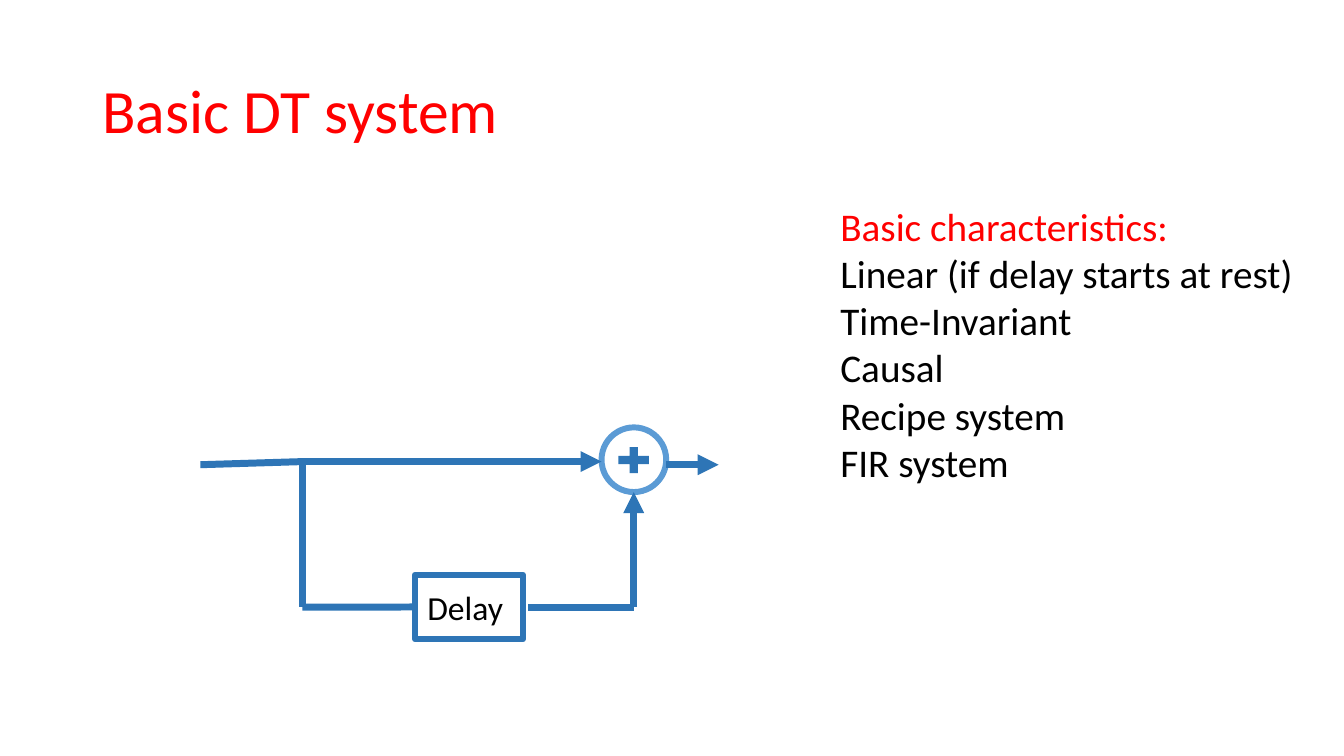
from lxml.etree import SubElement
from pptx import Presentation
from pptx.dml.color import RGBColor
from pptx.enum.shapes import MSO_CONNECTOR as Connector, MSO_SHAPE as Shape
from pptx.enum.text import MSO_ANCHOR as Anchor, PP_ALIGN as Align
from pptx.oxml.ns import qn
from pptx.util import Cm, Pt

COLORS = {
    "red": "FF0000",
    "black": "000000",
    "white": "FFFFFF",
    "blue": "2E75B6",
    "light_blue": "5B9BD5",
}


class SlideBuilder:
    font_name = "Calibri"
    wire_width = 5
    outline_width = 4.25

    def __init__(self, presentation):
        self.slide = presentation.slides.add_slide(presentation.slide_layouts[6])

    def color(self, name):
        return RGBColor.from_string(COLORS[name])

    def fill_text(self, shape, lines, size, frame_format, paragraph_format):
        frame = shape.text_frame
        for name, value in {"word_wrap": True, **frame_format}.items():
            setattr(frame, name, value)
        for index, (text, color) in enumerate(lines):
            paragraph = frame.add_paragraph() if index else frame.paragraphs[0]
            for name, value in paragraph_format.items():
                setattr(paragraph, name, value)
            run = paragraph.add_run()
            run.text = text
            for name, value in {"name": self.font_name, "size": Pt(size)}.items():
                setattr(run.font, name, value)
            run.font.color.rgb = self.color(color)

    def text(self, box, lines, size, frame_format={}, paragraph_format={}):
        shape = self.slide.shapes.add_textbox(*map(Cm, box))
        self.fill_text(shape, lines, size, frame_format, paragraph_format)

    def block(self, kind, box, fill=None, outline=None):
        shape = self.slide.shapes.add_shape(kind, *map(Cm, box))
        shape.shadow.inherit = False
        if fill:
            shape.fill.solid()
            shape.fill.fore_color.rgb = self.color(fill)
        else:
            shape.fill.background()
        if outline:
            shape.line.color.rgb = self.color(outline)
            shape.line.width = Pt(self.outline_width)
        else:
            shape.line.fill.background()
        return shape

    def wire(self, start, end, arrow=False):
        connector = self.slide.shapes.add_connector(
            Connector.STRAIGHT, *map(Cm, start + end))
        connector.line.color.rgb = self.color("blue")
        connector.line.width = Pt(self.wire_width)
        properties = connector._element.spPr
        if arrow:
            SubElement(properties.find(qn("a:ln")), qn("a:tailEnd"), type="triangle")
        SubElement(properties, qn("a:effectLst"))
        return connector


def main():
    presentation = Presentation()
    presentation.slide_width = Cm(33.87)
    presentation.slide_height = Cm(19.05)
    builder = SlideBuilder(presentation)

    builder.text((2.33, 1.01, 29.21, 3.68), [("Basic DT system", "red")], 44,
                 {"vertical_anchor": Anchor.MIDDLE}, {"line_spacing": 0.9})

    builder.block(Shape.OVAL, (15.16, 10.77, 1.63, 1.63), outline="light_blue")
    builder.block(Shape.MATH_PLUS, (15.45, 11.15, 1.04, 0.89), fill="blue")
    delay = builder.block(Shape.RECTANGLE, (10.46, 14.48, 2.72, 1.63), "white", "blue")
    builder.fill_text(delay, [("Delay ", "black")], 24,
                      {"vertical_anchor": Anchor.MIDDLE}, {"alignment": Align.CENTER})

    branch_x, sum_x = 7.62, 15.97
    signal_y, delay_y = 11.63, 15.3
    wires = [
        ((branch_x, signal_y), (15.16, signal_y), True),
        ((13.31, delay_y), (sum_x, delay_y), False),
        ((sum_x, delay_y), (sum_x, 12.4), True),
        ((5.05, 11.71), (7.67, signal_y), False),
        ((branch_x, signal_y), (branch_x, delay_y), False),
        ((16.79, 11.71), (18.11, 11.71), True),
    ]
    for start, end, arrow in wires:
        builder.wire(start, end, arrow)
    builder.wire((branch_x, delay_y), (10.46, delay_y)).end_connect(delay, 1)

    characteristics = ["Linear (if delay starts at rest)", "Time-Invariant",
                       "Causal", "Recipe system", "FIR system"]
    builder.text((20.93, 4.98, 12.22, 7.44),
                 [("Basic characteristics:", "red")]
                 + [(item, "black") for item in characteristics], 28)

    presentation.save("out.pptx")


if __name__ == "__main__":
    main()
